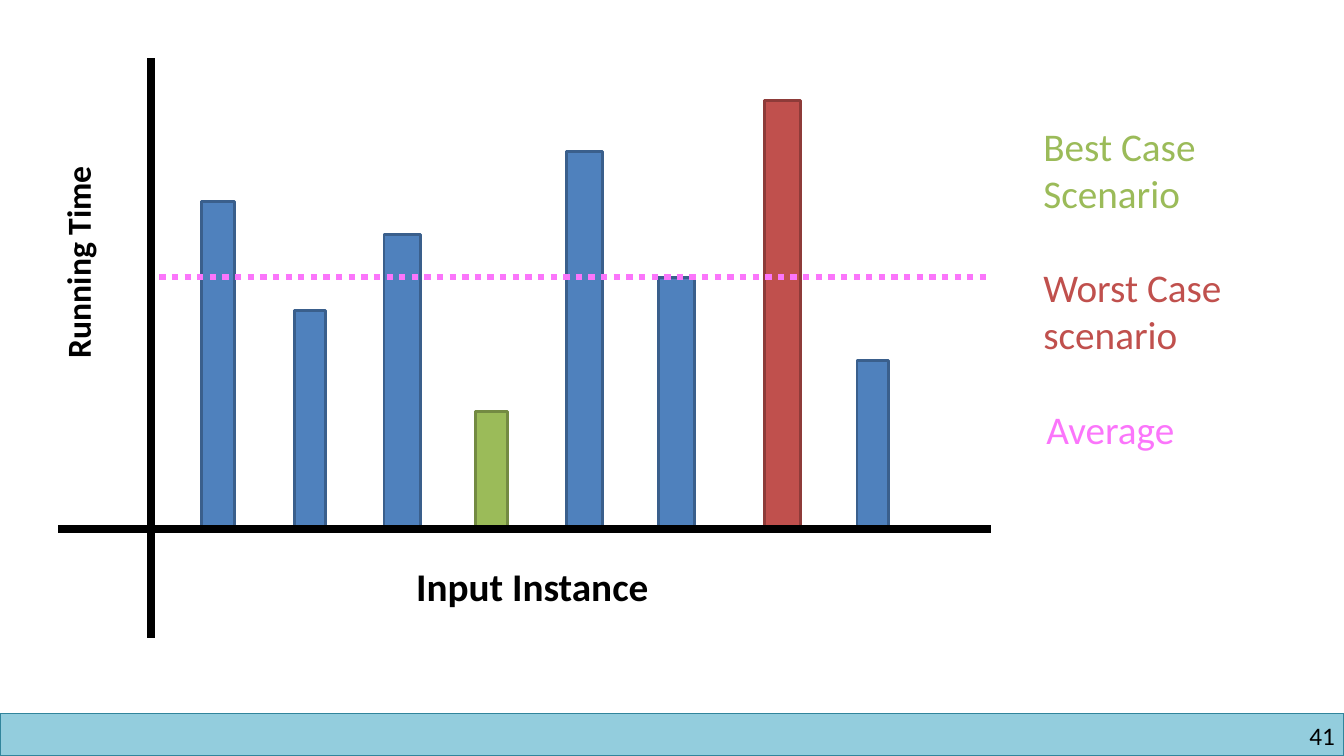
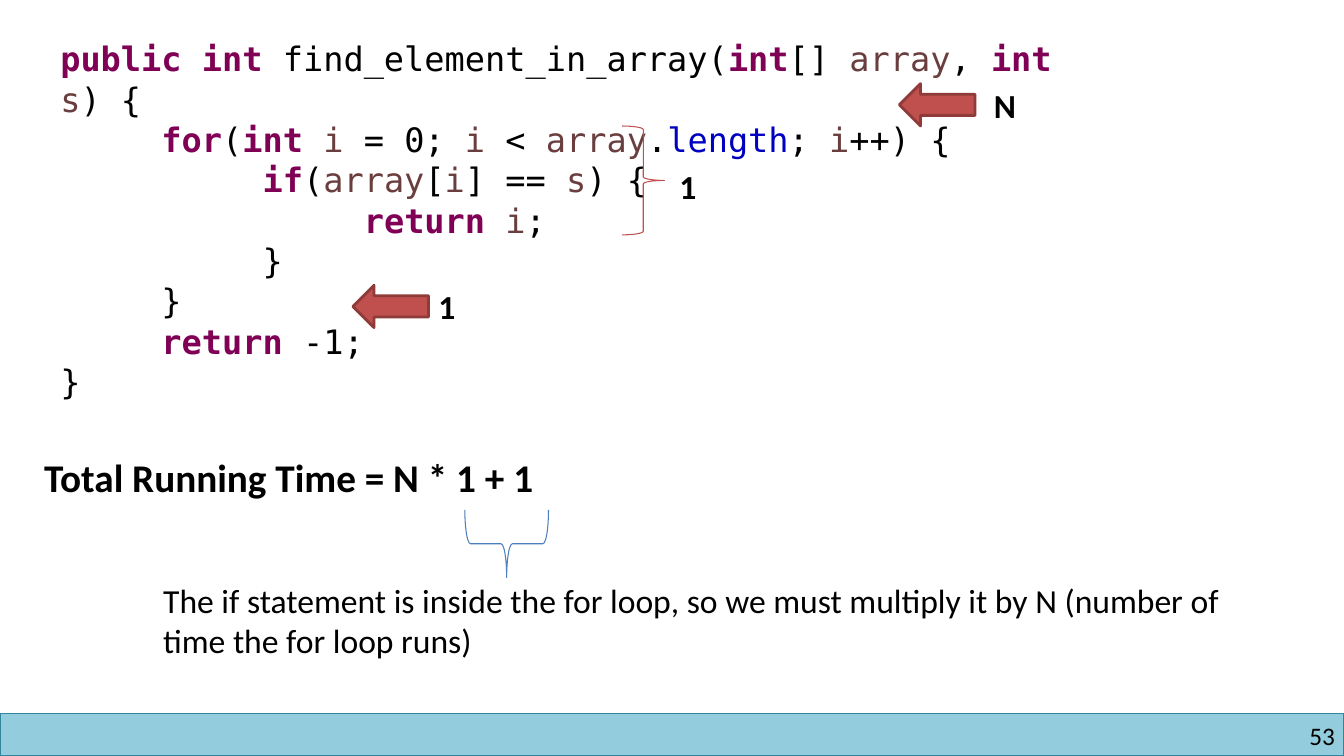
from itertools import groupby

from lxml import etree
from pptx import Presentation
from pptx.dml.color import RGBColor
from pptx.enum.dml import MSO_LINE
from pptx.enum.shapes import MSO_CONNECTOR, MSO_SHAPE
from pptx.enum.text import PP_ALIGN
from pptx.oxml.ns import qn
from pptx.util import Inches, Pt

RECTANGLE = MSO_SHAPE.RECTANGLE
LEFT_ARROW = MSO_SHAPE.LEFT_ARROW
RIGHT_BRACE = MSO_SHAPE.RIGHT_BRACE
STRAIGHT = MSO_CONNECTOR.STRAIGHT
DOTTED = MSO_LINE.ROUND_DOT
RIGHT = PP_ALIGN.RIGHT

COLOURS = {
    "band": "93CDDD", "band edge": "31859C", "black": "000000",
    "usual": "4F81BD", "usual edge": "3A5F8C",
    "best": "9BBB59", "best edge": "738A42",
    "worst": "C0504D", "worst edge": "8E3B39",
    "average": "FB75FB", "brace": "4B7EBC",
    "keyword": "7F0055", "variable": "6A3E3E", "field": "0000C0",
}
BODY_FONT = "Calibri"
CODE_FONT = "DejaVu Sans Mono"
BLANK_LAYOUT = 6

BASELINE = 5.25
# left, top, width, kind of case
BARS = [
    (2, 2, 0.33, "usual"), (2.92, 3.08, 0.31, "usual"),
    (3.81, 2.33, 0.36, "usual"), (4.72, 4.08, 0.31, "best"),
    (5.62, 1.5, 0.36, "usual"), (6.53, 2.75, 0.36, "usual"),
    (7.58, 1, 0.36, "worst"), (8.5, 3.58, 0.31, "usual"),
]

CODE = """public int find_element_in_array(int[] array, int s) {
     for(int i = 0; i < array.length; i++) {
          if(array[i] == s) {
               return i;
          }
     }
     return -1;
}"""
WORD_KINDS = {
    **dict.fromkeys(("public", "int", "for", "if", "return"), "keyword"),
    **dict.fromkeys(("array", "i", "s"), "variable"),
    "length": "field",
}


def colour(name):
    return RGBColor.from_string(COLOURS[name])


def is_word_character(character):
    return character.isalnum() or character == "_"


class SlideBuilder:
    def __init__(self):
        self.deck = Presentation()
        self.deck.slide_width = Inches(13.33)
        self.deck.slide_height = Inches(7.5)
        self.slide = None

    def new_slide(self, number):
        """Start a slide with the bottom band and its page number."""
        layout = self.deck.slide_layouts[BLANK_LAYOUT]
        self.slide = self.deck.slides.add_slide(layout)
        self.shape(RECTANGLE, 0, 7.08, 13.33, 0.42, "band", "band edge", 1)
        box = self.text(str(number), 10.17, 7.15, 3.07, 0.3, size=18, margin=0)
        box.text_frame.paragraphs[0].alignment = RIGHT

    def shape(self, kind, left, top, width, height, fill, edge, weight=2):
        shape = self.slide.shapes.add_shape(
            kind, Inches(left), Inches(top), Inches(width), Inches(height))
        shape.shadow.inherit = False
        if fill:
            shape.fill.solid()
            shape.fill.fore_color.rgb = colour(fill)
        else:
            shape.fill.background()
        shape.line.color.rgb = colour(edge)
        shape.line.width = Pt(weight)
        return shape

    def brace(self, left, top, width, height, edge):
        return self.shape(RIGHT_BRACE, left, top, width, height, None, edge, 0.75)

    def arrow(self, left, top):
        self.shape(LEFT_ARROW, left, top, 0.75, 0.42, "worst", "worst edge")

    def line(self, start, end, name, weight):
        line = self.slide.shapes.add_connector(
            STRAIGHT, *(Inches(length) for length in (*start, *end)))
        line.line.color.rgb = colour(name)
        line.line.width = Pt(weight)
        properties = line.element.find(qn("p:spPr"))
        etree.SubElement(properties, qn("a:effectLst"))
        return line

    def box(self, left, top, width, height, margin=None):
        box = self.slide.shapes.add_textbox(
            Inches(left), Inches(top), Inches(width), Inches(height))
        frame = box.text_frame
        frame.word_wrap = True
        if margin is not None:
            frame.margin_left = frame.margin_right = Inches(margin)
            frame.margin_top = frame.margin_bottom = Inches(margin)
        return box

    def style(self, span, size, name, bold=False, font=BODY_FONT):
        span.font.name = font
        span.font.size = Pt(size)
        span.font.bold = bold
        span.font.color.rgb = colour(name)

    def text(self, text, left, top, width, height, size=24, names=("black",),
             bold=False, gap=0, margin=None):
        """Add a text box with one colour name for each line of text."""
        box = self.box(left, top, width, height, margin)
        box.text_frame.text = text
        for index, (para, name) in enumerate(zip(box.text_frame.paragraphs, names)):
            if index:
                para.space_before = Pt(gap)
            self.style(para.runs[0], size, name, bold)
        return box

    def code(self, source, left, top, width, height):
        frame = self.box(left, top, width, height).text_frame
        frame.text = source
        for para, line in zip(frame.paragraphs, source.split("\n")):
            para.clear()
            for _, characters in groupby(line, is_word_character):
                span = para.add_run()
                span.text = "".join(characters)
                kind = WORD_KINDS.get(span.text, "black")
                self.style(span, 24, kind, kind == "keyword", CODE_FONT)


def running_time_slide(builder):
    builder.new_slide(41)
    for left, top, width, case in BARS:
        builder.shape(RECTANGLE, left, top, width, BASELINE - top,
                      case, f"{case} edge")
    builder.line((1.5, 0.58), (1.5, 6.33), "black", 6)
    builder.line((0.58, BASELINE), (9.83, BASELINE), "black", 6)
    axis_title = builder.text("Running Time", -0.45, 2.18, 2.44, 0.5, bold=True)
    axis_title.rotation = 270
    builder.text("Input Instance", 4.03, 5.53, 2.87, 0.57, size=28, bold=True)
    builder.text("Best Case Scenario\nWorst Case scenario", 10.25, 1.16, 2.25, 2.46,
                 size=28, names=("best", "worst"), gap=34)
    average = builder.line((1.58, 2.75), (9.83, 2.75), "average", 4.5)
    average.line.dash_style = DOTTED
    builder.text("Average", 10.28, 3.97, 1.67, 0.57, size=28, names=("average",))


def code_cost_slide(builder):
    builder.new_slide(53)
    builder.code(CODE, 0.5, 0.33, 10.24, 3.74)
    for left, top in ((8.92, 0.83), (3.5, 2.83)):
        builder.arrow(left, top)
    for cost, left, top in (("N", 9.76, 0.79), ("1", 6.64, 1.6), ("1", 4.25, 2.79)):
        builder.text(cost, left, top, 0.45, 0.5, bold=True)
    builder.brace(6.17, 1.25, 0.42, 1.08, "worst")
    builder.text("Total Running Time = N * 1 + 1", 0.34, 4.45, 6.07, 0.57,
                 size=28, bold=True)
    builder.brace(4.69, 4.98, 0.67, 0.83, "brace").rotation = 90
    builder.text("The if statement is inside the for loop, so we must multiply it "
                 "by N (number of time the for loop runs)", 1.52, 5.7, 11, 0.91)


def main():
    builder = SlideBuilder()
    running_time_slide(builder)
    code_cost_slide(builder)
    builder.deck.save("out.pptx")


if __name__ == "__main__":
    main()
